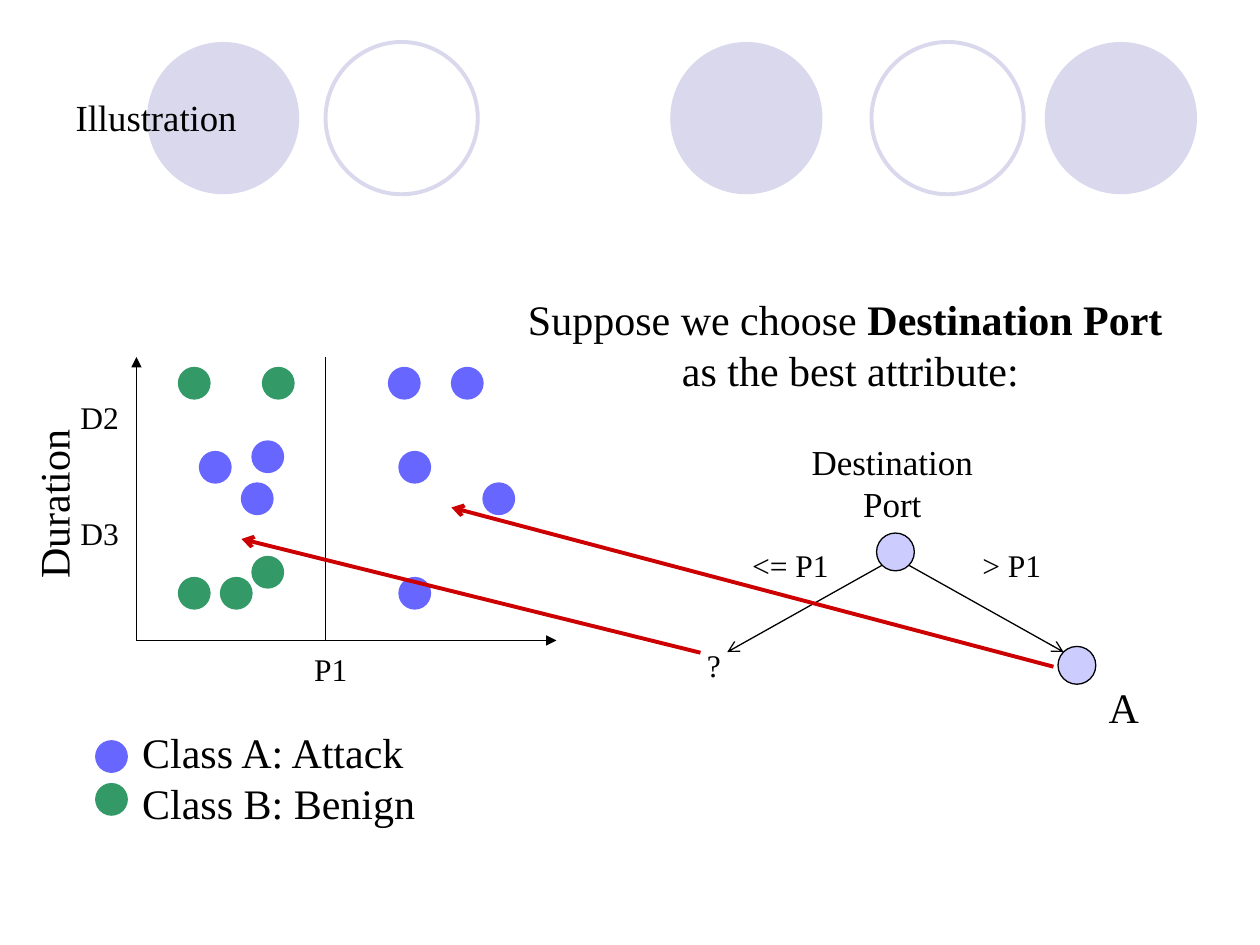
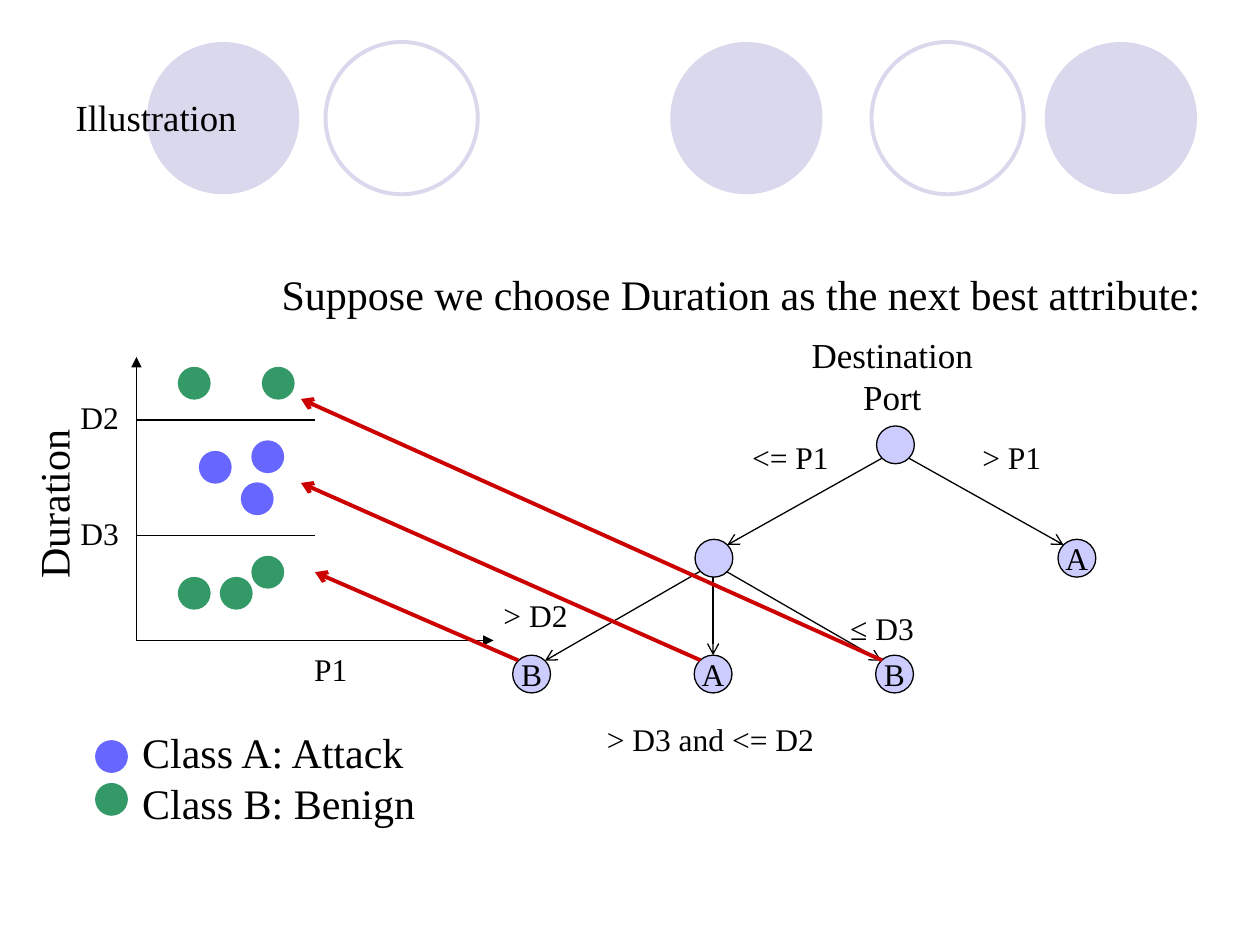
from collections import namedtuple

from lxml.etree import SubElement
from pptx import Presentation
from pptx.dml.color import RGBColor
from pptx.enum.shapes import MSO_CONNECTOR, MSO_SHAPE
from pptx.enum.text import MSO_ANCHOR, MSO_AUTO_SIZE, PP_ALIGN
from pptx.oxml.ns import qn
from pptx.util import Pt

COLORS = {
    "text": "000000",
    "band": "D9D8EC",
    "attack": "6767FF",
    "benign": "339966",
    "node": "CCCCFF",
    "link": "CC0000",
}
FONT = "Times New Roman"
DOT = 18
NODE = 21.6
DIAGONAL = 7.6  # offset from a node's centre to its rim at 45 degrees

Box = namedtuple("Box", "left top width height")
TITLE = Box(36, 21.6, 648, 90)
BAND = Box(84, 24, 600, 87)
LEGEND = Box(54.7, 411.8, 194, 64.8)
SUBTREE = Box(293, 308.2, 229, 87.8)

# Dot positions, measured from the plot's top left corner
BENIGN = [(24, 6), (72, 6), (66, 114), (24, 126), (48, 126)]
ATTACK_BELOW_P1 = [(36, 54), (66, 48), (60, 72)]
ATTACK_ABOVE_P1 = [(144, 6), (180, 6), (150, 54), (198, 72), (150, 126)]
LEVELS = {"D2": 36, "D3": 102}


def color(name):
    return RGBColor.from_string(COLORS[name])


def style_font(paragraph, size):
    paragraph.font.name = FONT
    paragraph.font.size = Pt(size)
    paragraph.font.color.rgb = color("text")


def add_figure(page, preset, box, fill=None, line=None, weight=0.75):
    shape = page.shapes.add_shape(preset, *(Pt(length) for length in box))
    shape.shadow.inherit = False
    if fill:
        shape.fill.solid()
        shape.fill.fore_color.rgb = color(fill)
    else:
        shape.fill.background()
    if line:
        shape.line.color.rgb = color(line)
        shape.line.width = Pt(weight)
    else:
        shape.line.fill.background()
    return shape


def add_dot(page, left, top, kind):
    add_figure(page, MSO_SHAPE.OVAL, Box(left, top, DOT, DOT), kind, kind)


def add_line(page, start, end, head=None, stroke="text", weight=0.75):
    line = page.shapes.add_connector(
        MSO_CONNECTOR.STRAIGHT, *(Pt(length) for length in (*start, *end)))
    line.line.color.rgb = color(stroke)
    line.line.width = Pt(weight)
    if head:
        SubElement(line.line._get_or_add_ln(), qn("a:tailEnd"), type=head)
    SubElement(line.element.spPr, qn("a:effectLst"))


def add_label(page, lines, center, top, width, size=18, align=PP_ALIGN.CENTER):
    """Add lines of text; each line is a list of (words, bold) or a string."""
    height = 7.2 + 1.2 * size * len(lines)
    label = page.shapes.add_textbox(
        Pt(center - width / 2), Pt(top), Pt(width), Pt(height))
    frame = label.text_frame
    frame.word_wrap = False
    frame.auto_size = MSO_AUTO_SIZE.SHAPE_TO_FIT_TEXT
    for index, line in enumerate(lines):
        paragraph = frame.paragraphs[0] if index == 0 else frame.add_paragraph()
        paragraph.alignment = align
        style_font(paragraph, size)
        for words, bold in [(line, False)] if isinstance(line, str) else line:
            span = paragraph.add_run()
            span.text = words
            if bold:
                span.font.bold = True
    return label


def add_node(page, center, text="", visible=True):
    x, y = center
    node = add_figure(page, MSO_SHAPE.FLOWCHART_CONNECTOR,
                      Box(x - NODE / 2, y - NODE / 2, NODE, NODE),
                      "node" if visible else None, "text" if visible else None)
    if text:
        frame = node.text_frame
        frame.word_wrap = False
        frame.vertical_anchor = MSO_ANCHOR.MIDDLE
        paragraph = frame.paragraphs[0]
        paragraph.text = text
        paragraph.alignment = PP_ALIGN.CENTER
        style_font(paragraph, 18)


def add_branch(page, parent, child):
    """Draw an arrow from the rim of one node to the rim of a lower one."""
    side = (child[0] > parent[0]) - (child[0] < parent[0])
    across, down = (side * DIAGONAL, DIAGONAL) if side else (0, NODE / 2)
    add_line(page, (parent[0] + across, parent[1] + down),
             (child[0] - across, child[1] - down), "arrow")


def add_links(page, links):
    """Draw the red arrows from tree leaves to their regions of the plot."""
    for start, end in links:
        add_line(page, start, end, "arrow", "link", 2.25)


def add_band(page, layout, box):
    """Put the row of circles behind everything on the layout."""
    circles = [(0, True), (102, False), (299, True), (414, False), (513, True)]
    for index, (offset, filled) in enumerate(circles):
        circle = add_figure(
            page, MSO_SHAPE.OVAL,
            Box(box.left + offset, box.top, box.height, box.height),
            "band" if filled else None, None if filled else "band", 2.25)
        circle.element.xpath(".//p:cNvPr")[0].set("id", str(20 + index))
        layout.shapes.element.insert(2, circle.element)


def add_title(page, text, box):
    title = page.shapes.title
    title.left, title.top, title.width, title.height = map(Pt, box)
    frame = title.text_frame
    frame.text = text
    frame.auto_size = MSO_AUTO_SIZE.NONE
    frame.vertical_anchor = MSO_ANCHOR.MIDDLE
    frame.paragraphs[0].alignment = PP_ALIGN.LEFT
    style_font(frame.paragraphs[0], 21)


def add_plot(page, box, attacks):
    left, top = box.left, box.top
    origin = (left, top + box.height)
    add_line(page, origin, (left, top), "triangle")
    add_line(page, origin, (left + box.width, origin[1]), "triangle")
    axis_name = add_label(page, ["Duration"], left - 47.8, top + 66, 217, 24)
    axis_name.text_frame.word_wrap = True
    axis_name.rotation = 270
    add_label(page, ["P1"], left + 111, origin[1] + 2.2, 36)
    for name, level in LEVELS.items():
        add_label(page, [name], left - 21, top + level - 15.8, 39)
    for kind, dots in (("benign", BENIGN), ("attack", attacks)):
        for x, y in dots:
            add_dot(page, left + x, top + y, kind)


def add_legend(page, box):
    for offset, kind in ((11.5, "attack"), (36, "benign")):
        add_dot(page, box.left, box.top + offset, kind)
    width = box.width - 20
    add_label(page, ["Class A: Attack", "Class B: Benign"],
              box.left + 19.5 + width / 2, box.top, width, 24, PP_ALIGN.LEFT)


def add_port_tree(page, box, left_text="", left_visible=True, right_text=""):
    middle = box.left + box.width / 2
    root = (middle, box.top + 67)
    leaf_y = box.top + box.height - NODE / 2
    left_leaf = (box.left + NODE / 2, leaf_y)
    right_leaf = (box.left + box.width - NODE / 2, leaf_y)
    add_label(page, ["Destination", "Port"], middle - 1.8, box.top, 110, 20)
    add_label(page, ["<= P1"], middle - 60, box.top + 59.8, 61)
    add_label(page, ["> P1"], middle + 66.4, box.top + 59.8, 51)
    add_node(page, root)
    add_node(page, left_leaf, left_text, left_visible)
    add_node(page, right_leaf, right_text)
    for leaf in (left_leaf, right_leaf):
        add_branch(page, root, leaf)


def add_duration_tree(page, box):
    """Split the lower port branch, whose node is drawn by add_port_tree."""
    parent = (box.left + box.width / 2, box.top + NODE / 2)
    step = (box.width - NODE) / 2
    for index, text in enumerate("BAB"):
        leaf = (box.left + NODE / 2 + index * step,
                box.top + box.height - NODE / 2)
        add_node(page, leaf, text)
        add_branch(page, parent, leaf)
    for text, x, y, width in (("> D2", 13, 28.8, 54), ("≤ D3", 211, 36, 54),
                              ("> D3 and <= D2", 113, 100, 136)):
        add_label(page, [text], box.left + x, box.top + y, width)


def build_port_slide(page):
    plot = Box(78, 204, 240, 162)
    tree = Box(397.2, 248.4, 229, 142.6)
    add_title(page, "Illustration", TITLE)
    add_plot(page, plot, ATTACK_BELOW_P1 + ATTACK_ABOVE_P1)
    split = plot.left + 108
    add_line(page, (split, plot.top), (split, plot.top + plot.height))
    add_label(page, [[("Suppose we choose ", False), ("Destination Port ", True)],
                     "as the best attribute:"], 486, 164.4, 386, 24)
    add_port_tree(page, tree, "?", False)
    add_label(page, ["A"], tree.left + 245, tree.top + 137.6, 34, 24)
    add_links(page, [((400.3, 373), (138, 308)), ((602, 381), (258, 290))])
    add_legend(page, LEGEND)


def build_duration_slide(page):
    plot = Box(78, 204, 204, 162)
    add_title(page, "Illustration", TITLE)
    add_plot(page, plot, ATTACK_BELOW_P1)
    for level in LEVELS.values():
        y = plot.top + level
        add_line(page, (plot.left, y), (plot.left + 102, y))
    add_label(page, ["Suppose we choose Duration as the next best attribute:"],
              423.5, 149.8, 544, 24)
    add_port_tree(page, Box(397.2, 187.2, 229, 142.6), right_text="A")
    add_duration_tree(page, SUBTREE)
    add_legend(page, LEGEND)
    leaf_y = 377.3
    add_links(page, [((400.3, leaf_y), (172, 276)), ((296, leaf_y), (180, 327)),
                     ((504, leaf_y), (172, 228))])


def main():
    deck = Presentation()
    deck.slide_width, deck.slide_height = Pt(720), Pt(540)
    layout = deck.slide_layouts[5]
    pages = [deck.slides.add_slide(layout) for _ in range(2)]
    add_band(pages[0], layout, BAND)
    build_port_slide(pages[0])
    build_duration_slide(pages[1])
    deck.save("out.pptx")


if __name__ == "__main__":
    main()
